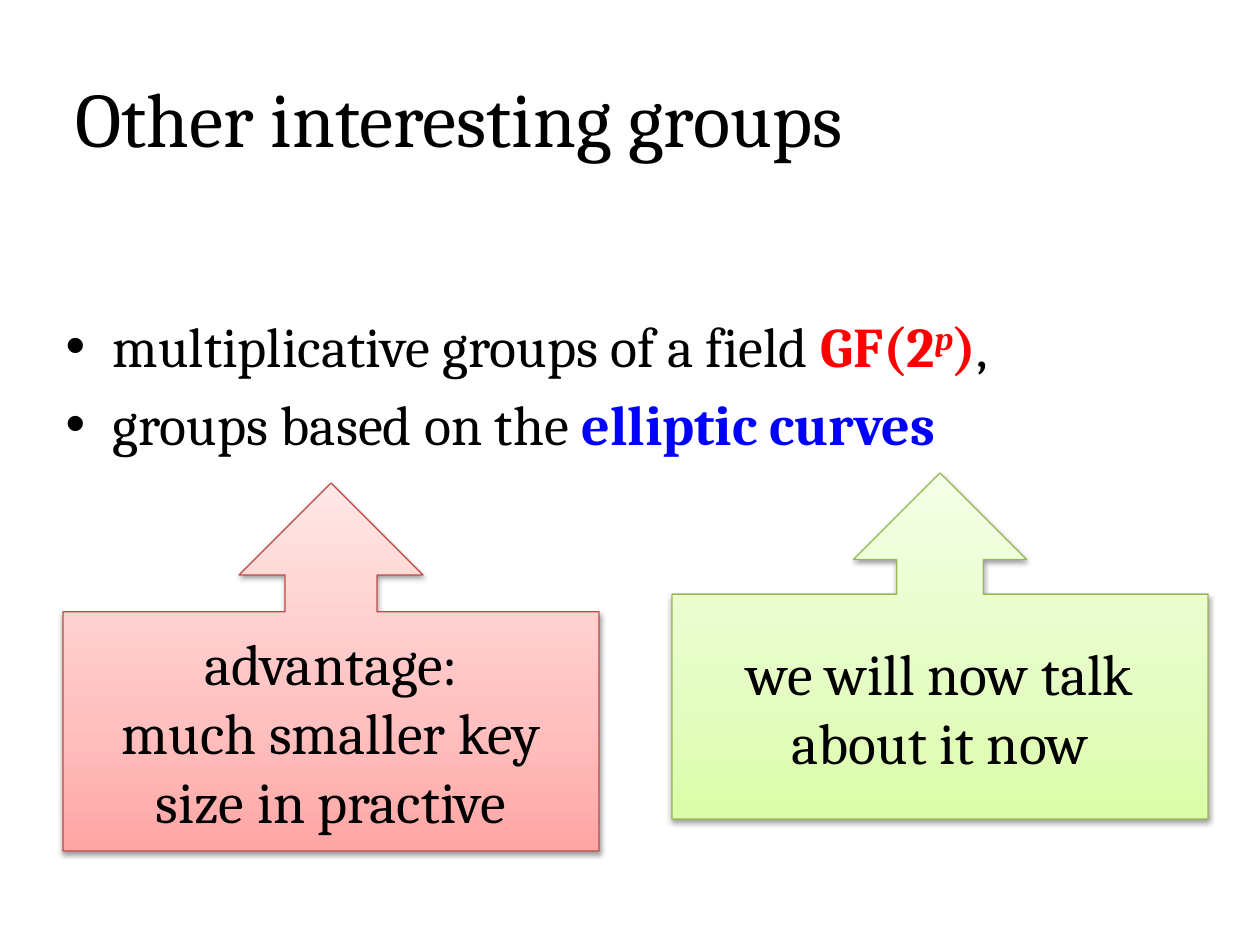
import lxml.etree
import pptx
import pptx.dml.color
import pptx.enum.shapes
import pptx.enum.text
import pptx.oxml
import pptx.oxml.ns
import pptx.util

PIXELS_PER_INCH = 126
FONT = "Cambria"
BLACK, RED, BLUE = "000000", "FF0000", "0000FF"


def px(length):
    return pptx.util.Emu(round(length * 914400 / PIXELS_PER_INCH))


def color(value):
    return pptx.dml.color.RGBColor.from_string(value)


def place(shape, left, top, width, height):
    shape.left, shape.top = px(left), px(top)
    shape.width, shape.height = px(width), px(height)


def add_run(paragraph, text, size, fill=BLACK, bold=False, italic=False, baseline=0):
    run = paragraph.add_run()
    run.text = text
    run.font.name = FONT
    run.font.size = pptx.util.Pt(size)
    run.font.color.rgb = color(fill)
    run.font.bold = bold
    run.font.italic = italic
    if baseline:
        run._r.get_or_add_rPr().set("baseline", str(baseline * 1000))


def next_paragraph(frame, index):
    return frame.paragraphs[0] if index == 0 else frame.add_paragraph()


def fill_title(title, text):
    place(title, 63, 38, 1134, 158)
    frame = title.text_frame
    frame.auto_size = pptx.enum.text.MSO_AUTO_SIZE.NONE
    frame.vertical_anchor = pptx.enum.text.MSO_ANCHOR.MIDDLE
    paragraph = frame.paragraphs[0]
    paragraph.alignment = pptx.enum.text.PP_ALIGN.LEFT
    add_run(paragraph, text, 44)


def fill_list(body, items):
    place(body, 53, 305, 1134, 179)
    frame = body.text_frame
    frame.auto_size = pptx.enum.text.MSO_AUTO_SIZE.NONE
    for index, runs in enumerate(items):
        paragraph = next_paragraph(frame, index)
        if index == 0:
            paragraph.space_before = pptx.util.Pt(0)
        for text, style in runs:
            add_run(paragraph, text, 32, **style)


def set_gradient(shape, colors):
    shape.fill.gradient()
    gradient = shape._element.spPr.find(pptx.oxml.ns.qn("a:gradFill"))
    stops = "".join(
        f'<a:gs pos="{position * 1000}"><a:srgbClr val="{value}"/></a:gs>'
        for position, value in zip((0, 35, 100), colors)
    )
    replacement = pptx.oxml.parse_xml(
        f'<a:gradFill {pptx.oxml.ns.nsdecls("a")} rotWithShape="1">'
        f'<a:gsLst>{stops}</a:gsLst><a:lin ang="16200000" scaled="0"/></a:gradFill>'
    )
    gradient.getparent().replace(gradient, replacement)


def set_shadow(shape):
    shape.shadow.inherit = False
    effects = shape._element.spPr.find(pptx.oxml.ns.qn("a:effectLst"))
    shadow = lxml.etree.SubElement(
        effects,
        pptx.oxml.ns.qn("a:outerShdw"),
        blurRad=str(pptx.util.Pt(3.1)),
        dist=str(pptx.util.Pt(1.6)),
        dir="5400000",
        rotWithShape="0",
    )
    tint = lxml.etree.SubElement(shadow, pptx.oxml.ns.qn("a:srgbClr"), val=BLACK)
    lxml.etree.SubElement(tint, pptx.oxml.ns.qn("a:alpha"), val="38000")


def add_callout(slide, left, top, height, gradient, outline, lines):
    shape = slide.shapes.add_shape(
        pptx.enum.shapes.MSO_SHAPE.UP_ARROW_CALLOUT,
        px(left), px(top), px(536), px(height),
    )
    set_gradient(shape, gradient)
    shape.line.color.rgb = color(outline)
    shape.line.width = pptx.util.Pt(0.75)
    set_shadow(shape)
    frame = shape.text_frame
    frame.word_wrap = True
    frame.vertical_anchor = pptx.enum.text.MSO_ANCHOR.MIDDLE
    for index, text in enumerate(lines):
        paragraph = next_paragraph(frame, index)
        paragraph.alignment = pptx.enum.text.PP_ALIGN.CENTER
        add_run(paragraph, text, 33)


def main():
    presentation = pptx.Presentation()
    presentation.slide_width, presentation.slide_height = px(1260), px(945)
    slide = presentation.slides.add_slide(presentation.slide_layouts[1])
    field = {"fill": RED, "bold": True}
    fill_title(slide.shapes.title, "Other interesting groups")
    fill_list(slide.placeholders[1], [
        [
            ("multiplicative groups of a field ", {}),
            ("GF(2", field),
            ("p", {**field, "italic": True, "baseline": 30}),
            (")", field),
            (",", {}),
        ],
        [
            ("groups based on the ", {}),
            ("elliptic curves", {"fill": BLUE, "bold": True}),
        ],
    ])
    add_callout(slide, 672, 473, 346, ("DAFDA7", "E4FCC2", "F5FFE7"), "98B955",
                ["we will now talk about it now"])
    add_callout(slide, 63, 483, 368, ("FFA6A5", "FFC0BF", "FFE7E7"), "BF4C48",
                ["advantage:", "much smaller key size in practive"])
    presentation.save("out.pptx")


if __name__ == "__main__":
    main()
